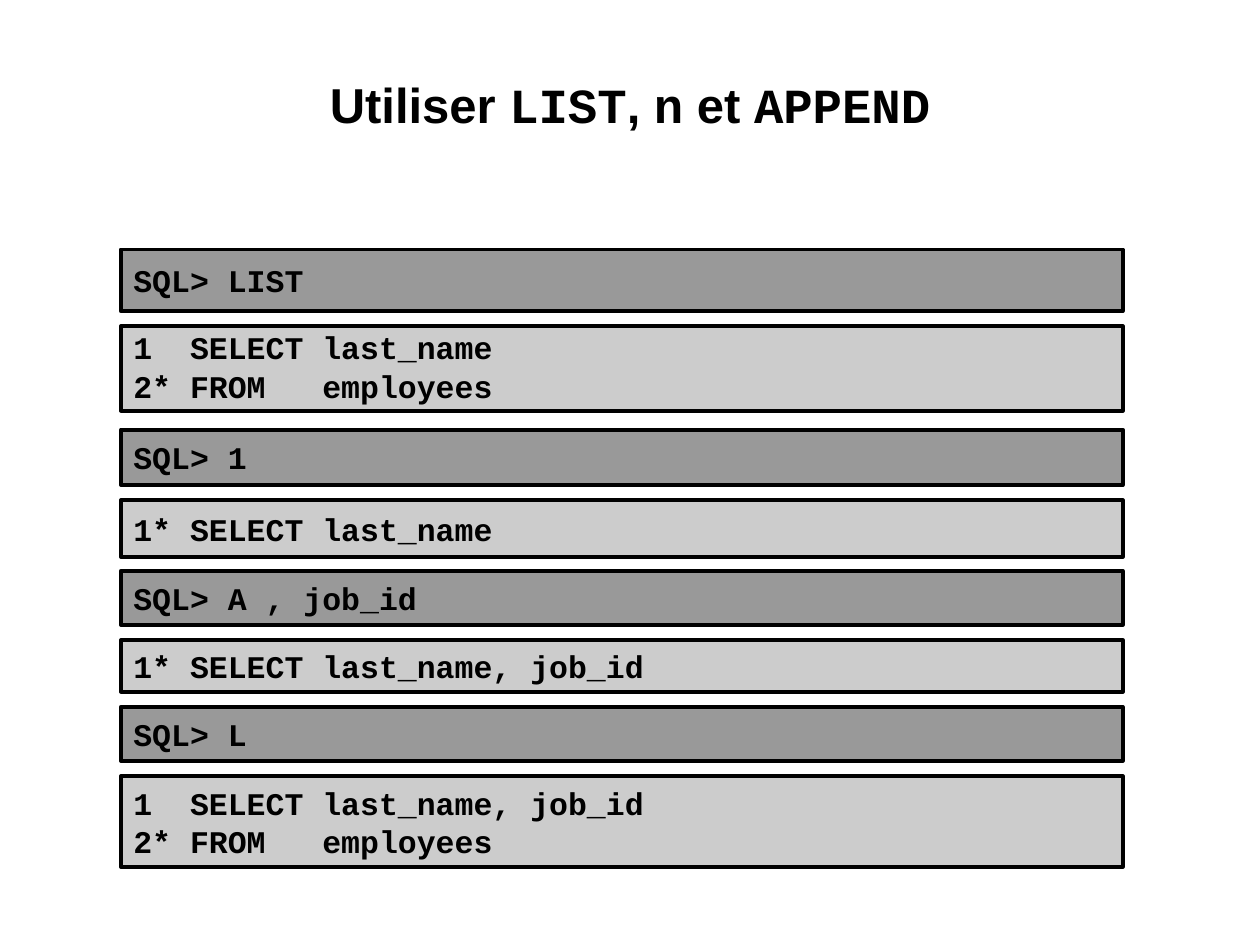
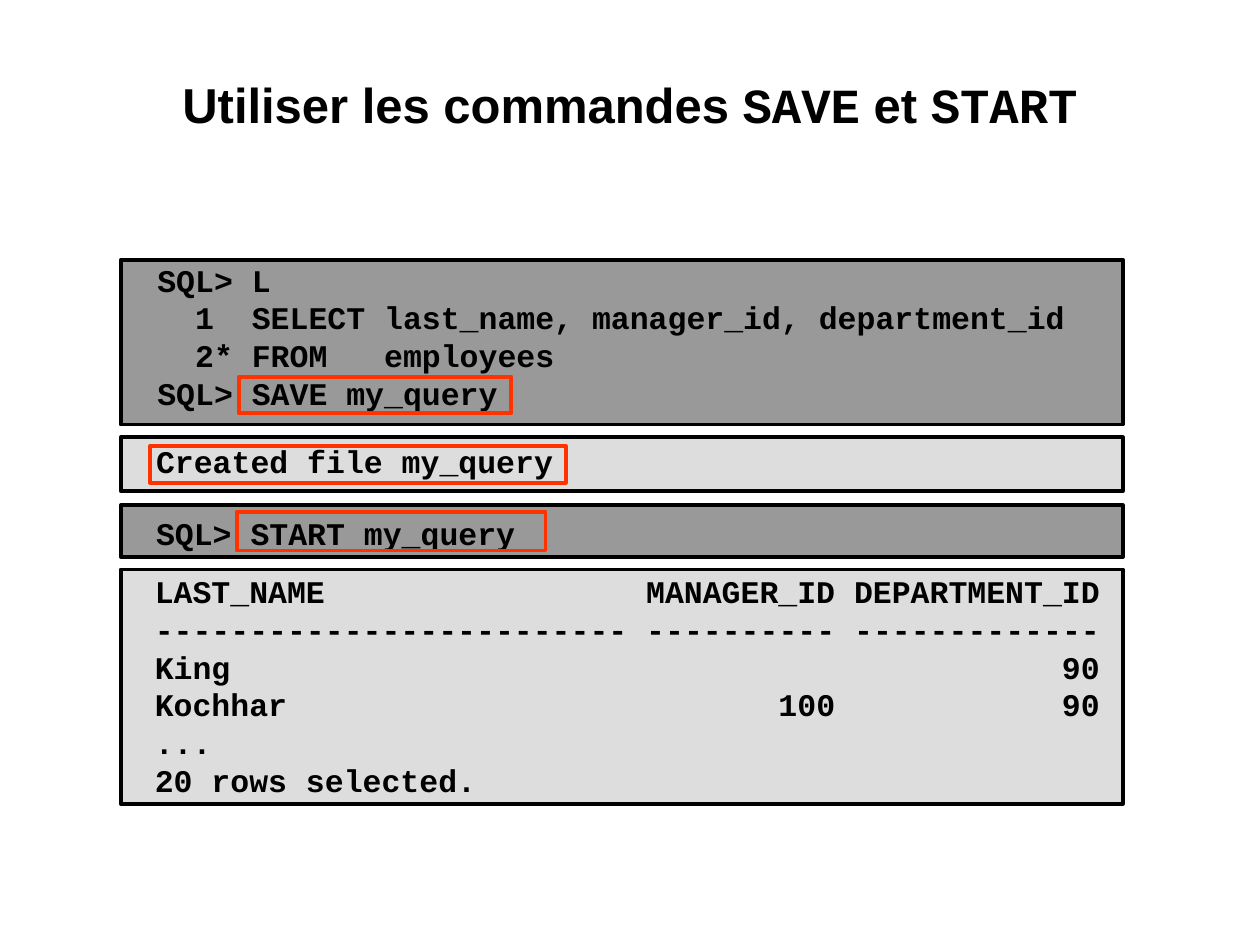
from pptx import Presentation
from pptx.dml.color import RGBColor
from pptx.enum.shapes import MSO_SHAPE
from pptx.enum.text import MSO_ANCHOR, MSO_AUTO_SIZE, PP_ALIGN
from pptx.util import Pt
from lxml.etree import SubElement
from pptx.oxml.ns import qn

MONO = "Courier New"
SANS = "Arial"
BLACK, DARK, PALE, LIGHT, RED = "000000", "999999", "CCCCCC", "DDDDDD", "FF3300"
LEFT, WIDE = 69.12, 572.4
CHAR = 10.8


def write(frame, text, size=18, fonts=(MONO,), align=PP_ALIGN.LEFT,
          anchor=MSO_ANCHOR.TOP, inset=(7.2, 3.6), before=0, first=None, tabs=()):
    frame.word_wrap = True
    frame.auto_size = MSO_AUTO_SIZE.NONE
    frame.vertical_anchor = anchor
    frame.margin_left = frame.margin_right = Pt(inset[0])
    frame.margin_top = frame.margin_bottom = Pt(inset[1])
    for row, line in enumerate(text.split("\n")):
        para = frame.add_paragraph() if row else frame.paragraphs[0]
        para.alignment = align
        para.space_before = Pt(before)
        if first and row == 0:
            para.line_spacing = first
        if tabs:
            stops = SubElement(para._p.get_or_add_pPr(), qn("a:tabLst"))
            for column, side in tabs:
                SubElement(stops, qn("a:tab"), pos=str(Pt(column * CHAR)), algn=side)
        for turn, part in enumerate(line.split("`")):
            run = para.add_run()
            run.text = part
            run.font.size = Pt(size)
            run.font.bold = True
            run.font.name = fonts[turn % len(fonts)]
            run.font.color.rgb = RGBColor.from_string(BLACK)


def box(slide, left, top, width, height, fill=None, line=BLACK):
    rect = slide.shapes.add_shape(
        MSO_SHAPE.RECTANGLE, Pt(left), Pt(top), Pt(width), Pt(height))
    rect.shadow.inherit = False
    if fill:
        rect.fill.solid()
        rect.fill.fore_color.rgb = RGBColor.from_string(fill)
    else:
        rect.fill.background()
    rect.line.color.rgb = RGBColor.from_string(line)
    rect.line.width = Pt(2.25)
    return rect


deck = Presentation()
deck.slide_width, deck.slide_height = Pt(720), Pt(540)

slides = []
for head in ("Utiliser `LIST`, `n` et `APPEND", "Utiliser les commandes `SAVE` et `START"):
    slide = deck.slides.add_slide(deck.slide_layouts[5])
    title = slide.shapes.title
    title.left, title.top, title.width, title.height = Pt(72), Pt(41.76), Pt(576), Pt(69.12)
    write(title.text_frame, head, size=28, fonts=(SANS, MONO),
          align=PP_ALIGN.CENTER, inset=(0.72, 0.72), before=7)
    slides.append(slide)
edit, save = slides

MID = MSO_ANCHOR.MIDDLE
steps = [
    (142.56, 35.28, DARK, "SQL> LIST", {"anchor": MID}),
    (186.48, 48.24, PALE, "1\tSELECT last_name\n2* FROM\temployees", {"first": 0.9}),
    (245.52, 31.68, DARK, "SQL> 1", {"anchor": MID}),
    (285.84, 32.4, PALE, "1* SELECT last_name", {"anchor": MID, "before": 4.5}),
    (326.16, 30.96, DARK, "SQL> A , job_id", {"anchor": MID}),
    (365.76, 29.52, PALE, "1* SELECT last_name, job_id", {"anchor": MID, "before": 4.5}),
    (403.92, 30.96, DARK, "SQL> L", {"anchor": MID}),
    (443.52, 51.84, PALE, "1\tSELECT last_name, job_id\n2* FROM\temployees", {"anchor": MID}),
]
for top, height, fill, text, style in steps:
    rect = box(edit, LEFT, top, WIDE, height, fill)
    write(rect.text_frame, text, tabs=[(3, "l"), (10, "l")], **style)

for top, height, fill in [(148.32, 94.32, DARK), (249.84, 30.96, LIGHT),
                          (288.72, 29.52, DARK), (325.44, 133.92, LIGHT)]:
    box(save, LEFT, top, WIDE, height, fill)

query = ("SQL> L\n\t1\tSELECT last_name, manager_id, department_id\n"
         "\t2* FROM\temployees\nSQL> SAVE my_query")
rows = "\n".join([
    "LAST_NAME\tMANAGER_ID\tDEPARTMENT_ID",
    " ".join("-" * count for count in (25, 10, 13)),
    "King\t\t90",
    "Kochhar\t100\t90",
    "...",
    "20 rows selected.",
])
texts = [
    (82.8, 145.44, 543.6, 93.6, query, [(2, "l"), (5, "l"), (12, "l")]),
    (82.08, 249.12, 252, 28.8, "Created file my_query", ()),
    (82.08, 290.16, 230.4, 28.8, "SQL> START my_query", ()),
    (81.36, 323.28, 565.2, 136.8, rows, [(36, "r"), (50, "r")]),
]
for left, top, width, height, text, tabs in texts:
    note = save.shapes.add_textbox(Pt(left), Pt(top), Pt(width), Pt(height))
    write(note.text_frame, text, tabs=tabs)

for left, top, width, height in [(136.8, 215.28, 155.52, 20.88),
                                 (85.68, 254.88, 237.6, 20.88),
                                 (135.36, 292.32, 176.4, 22.32)]:
    box(save, left, top, width, height, line=RED)

deck.save("out.pptx")
